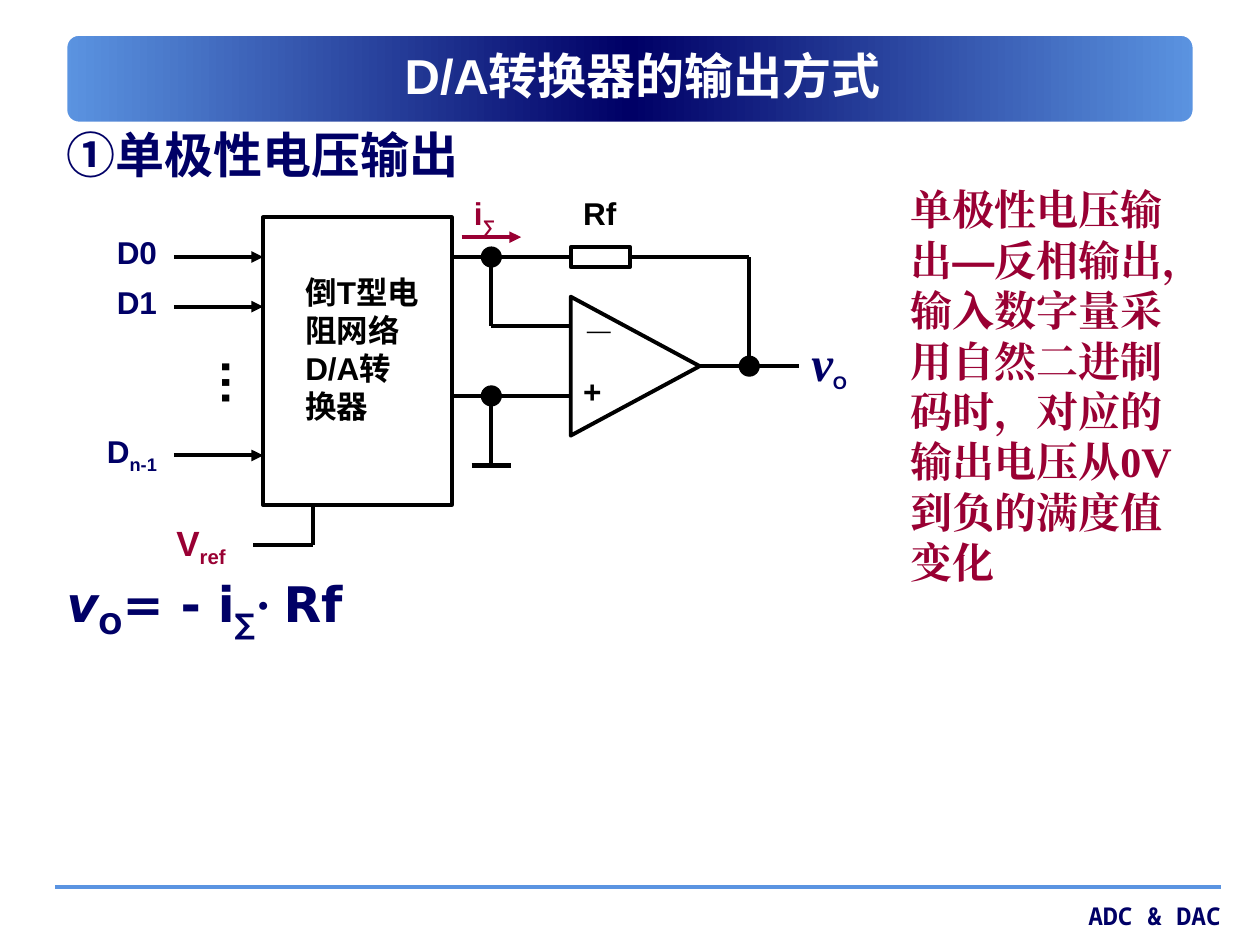
from copy import deepcopy

from lxml import etree
from pptx import Presentation
from pptx import util as u
from pptx.dml.color import RGBColor
from pptx.enum import shapes, text
from pptx.oxml.ns import qn

THEME = {
    "navy": "000066", "sky": "5B94E1", "crimson": "990033",
    "black": "000000", "white": "FFFFFF",
    "heading": 28, "note": 24, "reference": 20, "label": 18, "footer": 14,
    "wire": 2.25, "ground": 3, "dot": 0.75, "rule": 2, "banner_edge": 5,
    "sans": "Arial", "serif": "Times New Roman", "wide": "DejaVu Sans",
    "cjk": "Noto Sans CJK SC", "mono": "Noto Sans Mono",
}
SUB = {"sub": True}

# Circuit grid: 2 mm cells, origin where input D0 begins
CELL = 2 / 25.4
ORIGIN_X, ORIGIN_Y = 1.38, 2.04

INPUT_ROWS = [0, 5, 20]
WIRES = [  # column, row -> column, row
    (28, 0, 40, 0), (32, 0, 32, 7), (32, 7, 40, 7),        # inverting input
    (28, 14, 40, 14), (32, 14, 32, 21),                    # grounded input
    (46, 0, 58, 0), (58, 0, 58, 11), (53, 11, 63, 11),     # feedback, output
    (14, 25, 14, 29), (14, 29, 8, 29),                     # reference
]
GROUND = (30, 21, 34, 21)
CURRENT = (29, -2, 35, -2)
NODES = [(32, 0), (32, 14), (58, 11)]
CONVERTER = (9, -4, 19, 29)
RESISTOR = (40, -1, 6, 2)
AMPLIFIER = (39.5, 4.5, 14, 13)  # before its quarter turn

LABELS = [  # column, row, columns, rows, runs, format
    (12, 1, 14, 16.5, [("倒T型电阻网络D/A转换器", {})], {}),
    (-1, 26, 10, 5.5, [("V", {}), ("ref", SUB)],
     {"size": "reference", "color": "crimson"}),
    (40, 5, 5, 5, [("－", {})], {"font": "serif"}),
    (40, 11, 5, 5, [("+", {})], {}),
    (40, -7, 6, 5, [("Rf", {})], {}),
    (29, -7, 7, 5, [("i", {}), ("∑", SUB)], {"color": "crimson"}),
    (-7, -3, 8, 5, [("D0", {})], {"color": "navy"}),
    (-7, 2, 8, 5, [("D1", {})], {"color": "navy"}),
    (-8, 17, 10, 5, [("D", {}), ("n-1", SUB)], {"color": "navy"}),
    (63, 7, 8, 7,
     [("v", {"font": "serif", "size": "heading", "italic": True}), ("O", SUB)],
     {"color": "navy"}),
    (2, 9, 8.5, 7, [("…", {})], {"size": "heading", "vert": "eaVert"}),
    (73, -8, 31, 42,
     [("单极性电压输出", {}), ("—", {"font": "sans"}),
      ("反相输出，输入数字量采用自然二进制码时，"
       "对应的输出电压从0V到负的满度值变化", {})],
     {"font": "serif", "size": "note", "color": "crimson"}),
]

TITLE = [("D/A", {"font": "sans"}), ("转换器的输出方式", {})]
HEADING = [("①单极性电压输出", {})]
FORMULA = [("v", {"italic": True}), ("O", SUB), ("= - i", {}), ("∑", SUB),
           ("· ", {"font": "serif"}), ("Rf", {})]
FOOTER = [("ADC & DAC", {})]


def rgb(name):
    return RGBColor.from_string(THEME[name])


def at_grid(column, row):
    return ORIGIN_X + column * CELL, ORIGIN_Y + row * CELL


def grid_box(column, row, columns, rows):
    return (*at_grid(column, row), columns * CELL, rows * CELL)


def add_text(slide, box, runs, font="sans", size="label", color="black",
             align="LEFT", anchor="TOP", spacing=None, vert=None):
    frame = slide.shapes.add_textbox(*map(u.Inches, box)).text_frame
    frame.word_wrap = True
    frame.vertical_anchor = getattr(text.MSO_ANCHOR, anchor)
    if vert:
        frame._txBody.bodyPr.set("vert", vert)
    paragraph = frame.paragraphs[0]
    paragraph.alignment = getattr(text.PP_ALIGN, align)
    if spacing:
        paragraph.line_spacing = spacing
    for words, style in runs:
        run = paragraph.add_run()
        run.text = words
        run.font.bold = True
        run.font.italic = style.get("italic", False)
        run.font.size = u.Pt(THEME[style.get("size", size)])
        run.font.color.rgb = rgb(color)
        face = THEME[style.get("font", font)]
        run.font.name = face
        props = run.font._element
        etree.SubElement(props, qn("a:ea")).set("typeface", face)
        if style.get("sub"):
            props.set("baseline", "-25000")


def add_line(slide, start, end, color="black", width="wire", arrow=False):
    line = slide.shapes.add_connector(
        shapes.MSO_CONNECTOR.STRAIGHT, *map(u.Inches, (*start, *end)))
    line.line.color.rgb = rgb(color)
    line.line.width = u.Pt(THEME[width])
    if arrow:
        etree.SubElement(line.line._get_or_add_ln(),
                         qn("a:tailEnd")).set("type", "triangle")
    etree.SubElement(line._element.spPr, qn("a:effectLst"))


def add_wire(slide, wire, **style):
    add_line(slide, at_grid(*wire[:2]), at_grid(*wire[2:]), **style)


def add_part(slide, kind, box, fill=None, line="black", width="wire"):
    part = slide.shapes.add_shape(
        getattr(shapes.MSO_SHAPE, kind), *map(u.Inches, box))
    part.shadow.inherit = False
    if fill:
        part.fill.solid()
        part.fill.fore_color.rgb = rgb(fill)
    else:
        part.fill.background()
    part.line.color.rgb = rgb(line)
    part.line.width = u.Pt(THEME[width])
    return part


def add_banner(slide):
    banner = add_part(slide, "ROUNDED_RECTANGLE", (0.5, 0.25, 9, 0.75),
                      line="white", width="banner_edge")
    banner.fill.gradient()
    banner.fill.gradient_angle = 0
    stops = banner._element.spPr.find(".//" + qn("a:gsLst"))
    stops.insert(1, deepcopy(stops[0]))
    for stop, place, color in zip(banner.fill.gradient_stops, (0, 0.5, 1),
                                  ("sky", "navy", "sky")):
        stop.position = place
        stop.color.rgb = rgb(color)


def add_circuit(slide):
    add_part(slide, "RECTANGLE", grid_box(*CONVERTER))
    add_part(slide, "ISOSCELES_TRIANGLE", grid_box(*AMPLIFIER)).rotation = 90
    add_part(slide, "RECTANGLE", grid_box(*RESISTOR))
    for row in INPUT_ROWS:
        add_wire(slide, (0, row, 9, row), arrow=True)
    for wire in WIRES:
        add_wire(slide, wire)
    add_wire(slide, GROUND, width="ground")
    add_wire(slide, CURRENT, color="crimson", arrow=True)
    for column, row in NODES:
        add_part(slide, "OVAL", grid_box(column - 1, row - 1, 2, 2),
                 fill="black", width="dot")
    for *cells, runs, style in LABELS:
        add_text(slide, grid_box(*cells), runs, **style)


def main():
    deck = Presentation()
    deck.slide_width, deck.slide_height = u.Inches(10), u.Inches(7.5)
    slide = deck.slides.add_slide(deck.slide_layouts[6])

    add_banner(slide)
    add_line(slide, (0.44, 7.04), (9.69, 7.04), color="sky", width="rule")
    add_text(slide, (7.42, 7.1, 2.37, 0.33), FOOTER, font="mono",
             size="footer", color="navy", align="RIGHT")
    add_text(slide, (0.43, 0.28, 9.34, 0.63), TITLE, font="wide",
             size="heading", color="white", align="CENTER", anchor="MIDDLE")
    add_text(slide, (0.43, 0.99, 6, 0.55), HEADING, font="cjk",
             size="heading", color="navy", spacing=0.9)
    add_circuit(slide)
    add_text(slide, (0.43, 4.5, 6, 0.6), FORMULA, font="wide",
             size="heading", color="navy")
    deck.save("out.pptx")


if __name__ == "__main__":
    main()
